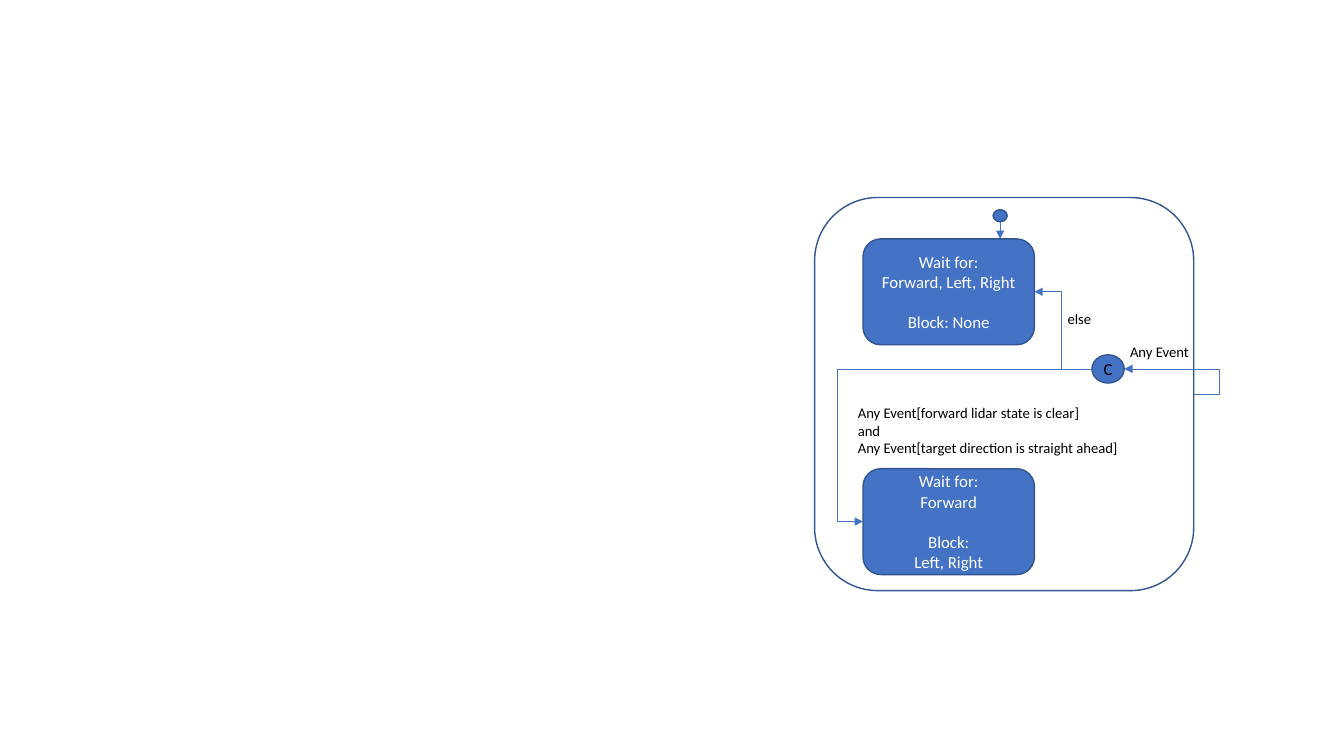
import pptx
import pptx.dml.color
import pptx.enum.shapes
import pptx.enum.text
import pptx.oxml
import pptx.oxml.ns
import pptx.util

Inches, Pt = pptx.util.Inches, pptx.util.Pt
RGBColor = pptx.dml.color.RGBColor
SHAPE = pptx.enum.shapes.MSO_SHAPE
CONNECTOR = pptx.enum.shapes.MSO_CONNECTOR
ALIGN = pptx.enum.text.PP_ALIGN
ANCHOR = pptx.enum.text.MSO_ANCHOR

BLUE = RGBColor(0x44, 0x72, 0xC4)
DARK_BLUE = RGBColor(0x32, 0x54, 0x91)
WHITE = RGBColor(0xFF, 0xFF, 0xFF)
BLACK = RGBColor(0, 0, 0)

# Boxes are left, top, width, height in inches.
FRAME = (8.08, 1.96, 3.76, 3.9)
START = (9.85, 2.08, 0.14, 0.12)
CHOICE = (10.83, 3.52, 0.32, 0.28)
STATE_LEFT, STATE_WIDTH, STATE_HEIGHT = 8.56, 1.7, 1.05
STATES = [  # top, groups of lines
    (2.37, [["Wait for:", "Forward, Left, Right"], ["Block: None"]]),
    (4.65, [["Wait for:", "Forward"], ["Block:", "Left, Right"]]),
]
LABELS = [
    ((8.41, 3.96, 3.16, 0.63), ["Any Event[forward lidar state is clear]", "and",
                                "Any Event[target direction is straight ahead]"]),
    ((10.49, 3.02, 1.08, 0.28), ["else"]),
    ((11.11, 3.35, 1.23, 0.28), ["Any Event"]),
]
LOOP_Y, LOOP_BEND_X = 3.91, 12.09
ELSE_BEND_X, CLEAR_BEND_X = 10.53, 8.31


def write(sp, groups, size=12, color=WHITE, align=ALIGN.CENTER, anchor=ANCHOR.MIDDLE, inset=0.1):
    """Write each line as a paragraph, with one line of space between groups."""
    tf = sp.text_frame
    tf.word_wrap = True
    tf.vertical_anchor = anchor
    tf.margin_left = tf.margin_right = Inches(inset)
    tf.margin_top = tf.margin_bottom = Inches(inset / 2)
    p = None
    for g, lines in enumerate(groups):
        for i, line in enumerate(lines):
            p = tf.add_paragraph() if p is not None else tf.paragraphs[0]
            p.alignment = align
            if g and not i:
                p.space_before = Pt(size * 1.22)
            r = p.add_run()
            r.text = line
            r.font.name, r.font.size, r.font.color.rgb = "Calibri", Pt(size), color


def add_box(s, kind, box, filled=True):
    sp = s.shapes.add_shape(kind, *map(Inches, box))
    sp.shadow.inherit = False
    if filled:
        sp.fill.solid()
        sp.fill.fore_color.rgb = BLUE
    else:
        sp.fill.background()
    sp.line.color.rgb, sp.line.width = DARK_BLUE, Pt(1)
    return sp


def add_arrow(s, start, end, bend_x=None):
    """Draw an arrow, straight or with its vertical leg at bend_x."""
    kind = CONNECTOR.STRAIGHT if bend_x is None else CONNECTOR.ELBOW
    cxn = s.shapes.add_connector(kind, *map(Inches, start + end))
    cxn.line.color.rgb, cxn.line.width = BLUE, Pt(0.5)
    ns = pptx.oxml.ns.nsdecls("a")
    cxn.line._get_or_add_ln().append(pptx.oxml.parse_xml(f'<a:tailEnd {ns} type="triangle"/>'))
    sp_pr = cxn._element.spPr
    sp_pr.append(pptx.oxml.parse_xml(f"<a:effectLst {ns}/>"))
    if bend_x is not None:
        share = round((bend_x - start[0]) / (end[0] - start[0]) * 100000)
        guides = sp_pr.find(pptx.oxml.ns.qn("a:prstGeom")).get_or_add_avLst()
        guides.append(pptx.oxml.parse_xml(f'<a:gd {ns} name="adj1" fmla="val {share}"/>'))
    return cxn


def main():
    prs = pptx.Presentation()
    prs.slide_width, prs.slide_height = Inches(13.33), Inches(7.5)
    s = prs.slides.add_slide(prs.slide_layouts[6])

    add_box(s, SHAPE.ROUNDED_RECTANGLE, FRAME, filled=False)
    for top, groups in STATES:
        box = (STATE_LEFT, top, STATE_WIDTH, STATE_HEIGHT)
        write(add_box(s, SHAPE.ROUNDED_RECTANGLE, box), groups)
    for box, lines in LABELS:
        sp = s.shapes.add_textbox(*map(Inches, box))
        write(sp, [lines], size=10.5, color=BLACK, align=ALIGN.LEFT, anchor=ANCHOR.TOP)
    add_box(s, SHAPE.OVAL, START)
    write(add_box(s, SHAPE.OVAL, CHOICE), [["C"]], color=BLACK, inset=0)

    start_x = START[0] + START[2] / 2
    choice_left, choice_right = CHOICE[0], CHOICE[0] + CHOICE[2]
    choice_y = CHOICE[1] + CHOICE[3] / 2
    wait_y, forward_y = (top + STATE_HEIGHT / 2 for top, _ in STATES)
    add_arrow(s, (start_x, START[1] + START[3]), (start_x, STATES[0][0]))
    add_arrow(s, (FRAME[0] + FRAME[2], LOOP_Y), (choice_right, choice_y), LOOP_BEND_X)
    add_arrow(s, (choice_left, choice_y), (STATE_LEFT + STATE_WIDTH, wait_y), ELSE_BEND_X)
    add_arrow(s, (choice_left, choice_y), (STATE_LEFT, forward_y), CLEAR_BEND_X)

    prs.save("out.pptx")


if __name__ == "__main__":
    main()
